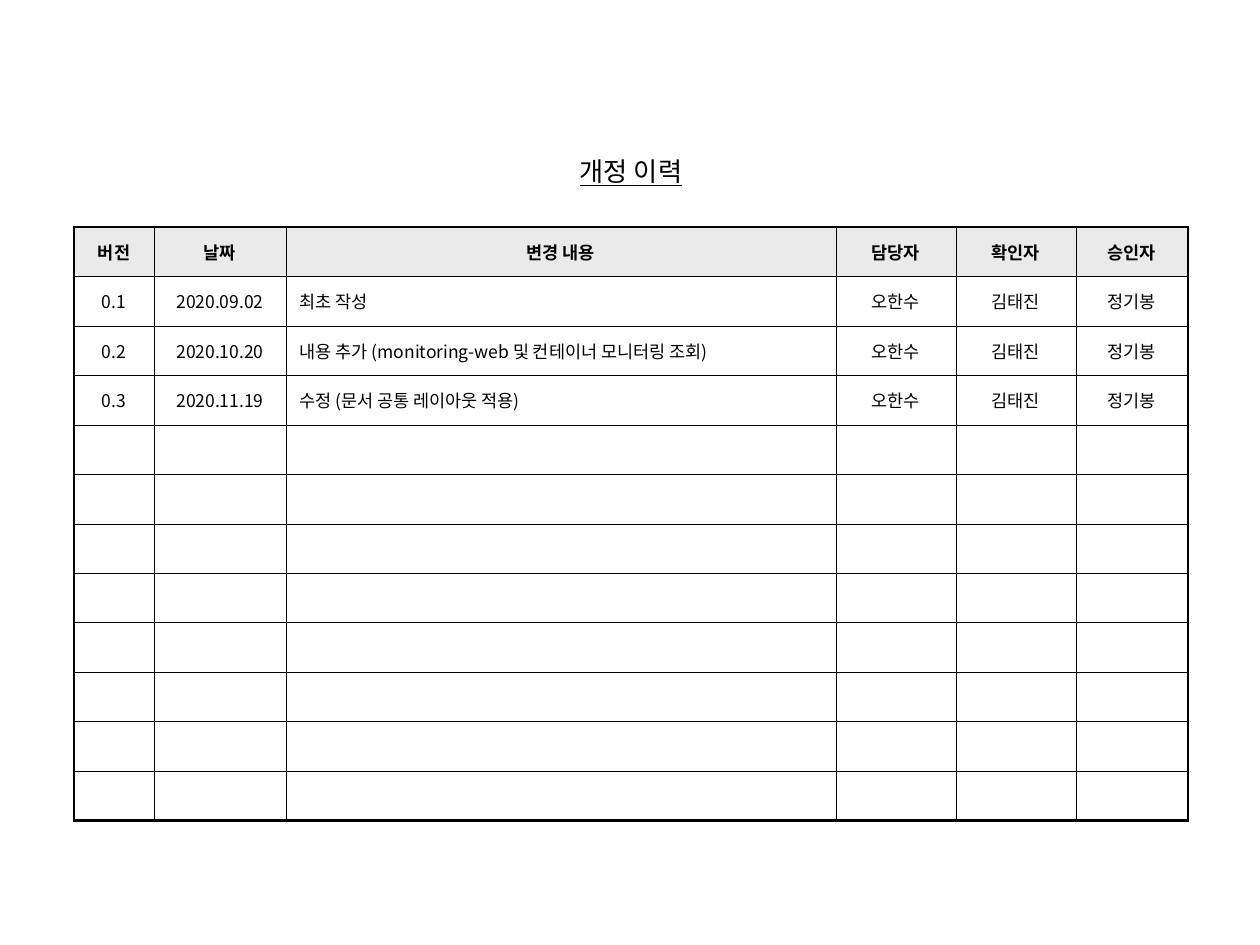
from lxml.etree import SubElement
from pptx import Presentation
from pptx.dml.color import RGBColor
from pptx.enum.text import MSO_ANCHOR as Anchor, MSO_AUTO_SIZE as Fit, PP_ALIGN as Align
from pptx.oxml.ns import qn
from pptx.util import Emu, Pt

BLACK = RGBColor(0x00, 0x00, 0x00)
WHITE = RGBColor(0xFF, 0xFF, 0xFF)
GRAY = RGBColor(0xEA, 0xEA, 0xEA)
FONT = "Noto Sans CJK KR"
THIN, MID, THICK = 0.25, 0.5, 1.5

COLS = [80, 132, 550, 120, 120, 112]
NOTE = 2  # the left-aligned column
ROWS = 12
STAFF = ["오한수", "김태진", "정기봉"]
HEAD = ["버전", "날짜", "변경 내용", "담당자", "확인자", "승인자"]
LOG = [
    ["0.1", "2020.09.02", "최초 작성"],
    ["0.2", "2020.10.20", "내용 추가 (monitoring-web 및 컨테이너 모니터링 조회)"],
    ["0.3", "2020.11.19", "수정 (문서 공통 레이아웃 적용)"],
]


def px(n):
    return Emu(round(n * 914400 / 126))


def style(run, size, bold=False, line=False):
    font = run.font
    font.size, font.bold, font.underline = Pt(size), bold, line
    font.color.rgb = BLACK
    font.name = FONT
    SubElement(run._r.rPr, qn("a:ea"), typeface=FONT)


def add_title(slide, x, y, w, h):
    title = slide.shapes.title
    title.left, title.top, title.width, title.height = map(px, (x, y, w, h))
    frame = title.text_frame
    frame.text = "개정 이력"
    frame.margin_left = frame.margin_right = 0
    frame.margin_top = frame.margin_bottom = 0
    frame.vertical_anchor = Anchor.MIDDLE
    frame.auto_size = Fit.NONE
    para = frame.paragraphs[0]
    para.alignment = Align.CENTER
    style(para.runs[0], 15, line=True)


def set_edges(cell, row, col):
    last = len(COLS) - 1
    # Outer frame is thick; the line before the notes is medium
    edges = {
        "L": THICK if col == 0 else MID if col == NOTE else THIN,
        "R": THICK if col == last else MID if col == NOTE - 1 else THIN,
        "T": THICK if row == 0 else THIN,
        "B": THICK if row == ROWS - 1 else THIN,
    }
    props = cell._tc.get_or_add_tcPr()
    for side, width in edges.items():
        line = SubElement(props, qn(f"a:ln{side}"), w=str(Pt(width)))
        fill = SubElement(line, qn("a:solidFill"))
        SubElement(fill, qn("a:srgbClr"), val=str(BLACK))


def fill_cell(cell, text, row, col):
    set_edges(cell, row, col)
    cell.fill.solid()
    cell.fill.fore_color.rgb = GRAY if row == 0 else WHITE
    cell.vertical_anchor = Anchor.MIDDLE
    cell.margin_left = cell.margin_right = px(14)
    cell.margin_top = cell.margin_bottom = px(6)
    para = cell.text_frame.paragraphs[0]
    para.alignment = Align.LEFT if row and col == NOTE else Align.CENTER
    if text:
        para.text = text
        style(para.runs[0], 10, bold=row == 0)
    else:
        # Small end mark keeps empty rows at their set height
        SubElement(para._p, qn("a:endParaRPr"), sz="1000")


def add_log(slide, x, y, w, h):
    frame = slide.shapes.add_table(ROWS, len(COLS), px(x), px(y), px(w), px(h))
    table = frame.table
    table.first_row = table.horz_banding = False
    for col, wide in zip(table.columns, COLS):
        col.width = px(wide)
    for row in table.rows:
        row.height = px(h / ROWS)

    data = [HEAD] + [entry + STAFF for entry in LOG]
    data += [[""] * len(COLS)] * (ROWS - len(data))
    for r, texts in enumerate(data):
        for c, text in enumerate(texts):
            fill_cell(table.cell(r, c), text, r, c)


def main():
    deck = Presentation()
    deck.slide_width, deck.slide_height = px(1260), px(945)
    slide = deck.slides.add_slide(deck.slide_layouts[5])
    add_log(slide, 74, 227, sum(COLS), 594)
    add_title(slide, 2, 155, 1258, 32)
    deck.save("out.pptx")


if __name__ == "__main__":
    main()
